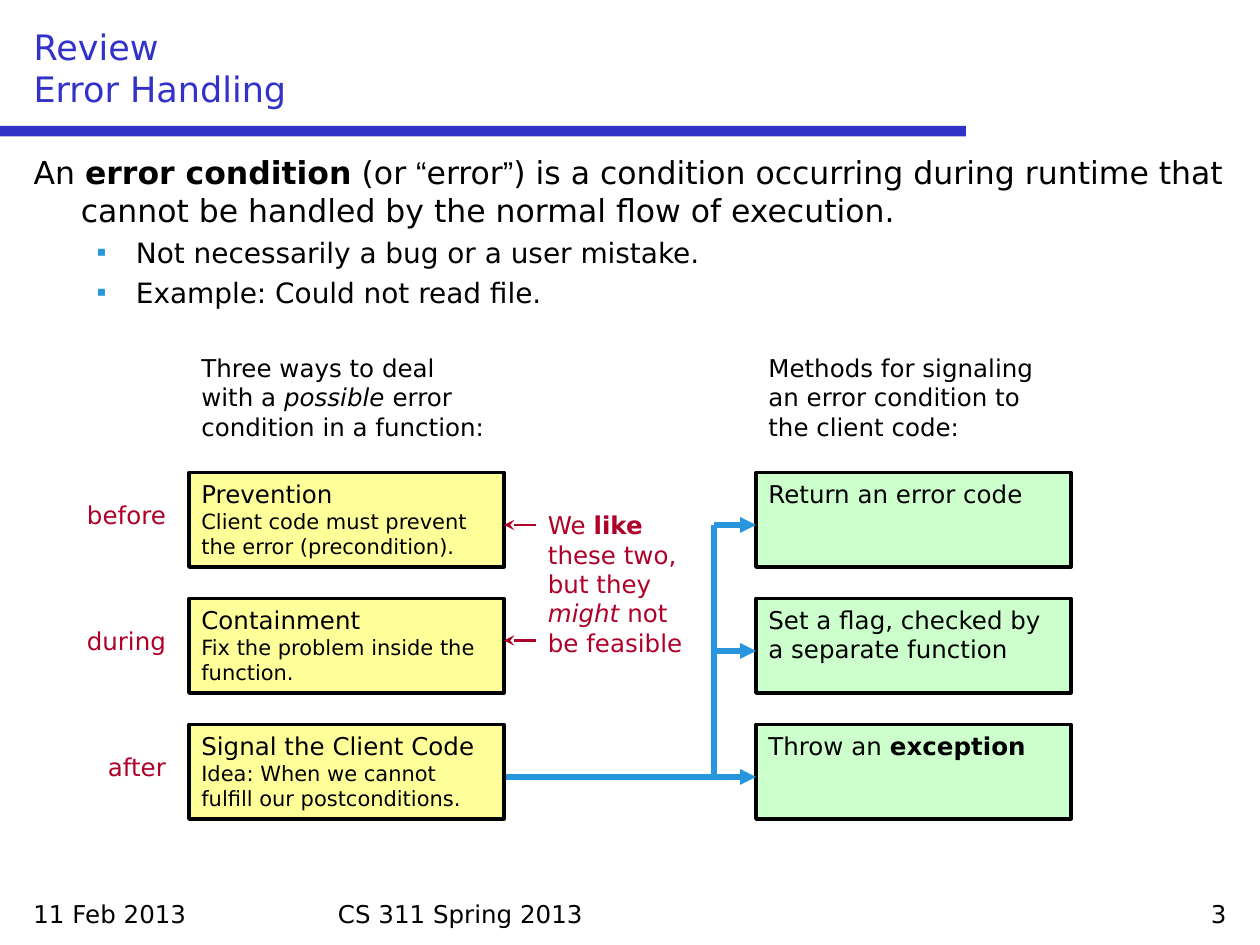
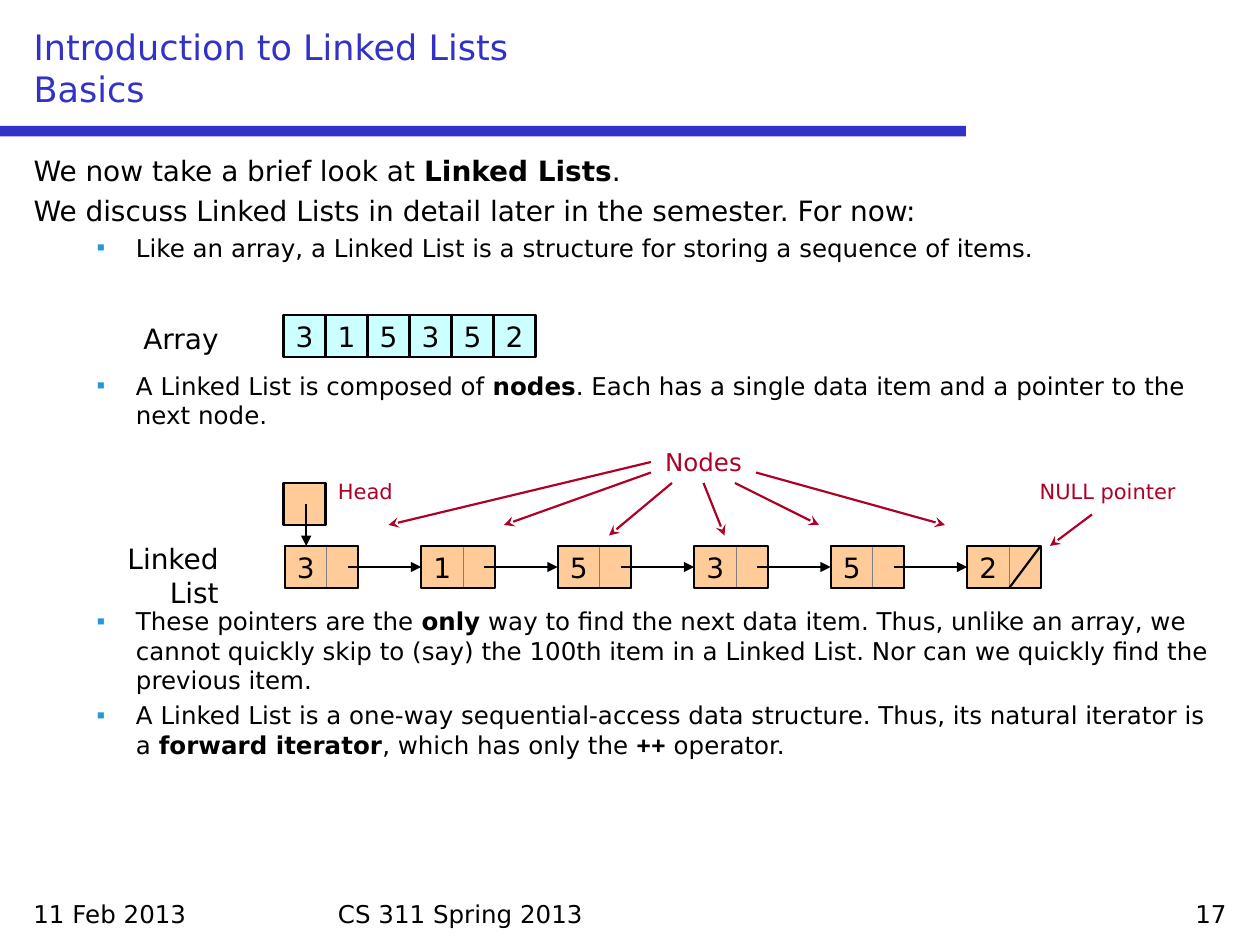
"""Build two lecture slides: error handling and linked lists."""
from dataclasses import dataclass
from typing import NamedTuple, Optional

from lxml import etree
from pptx import Presentation
from pptx.dml.color import RGBColor
from pptx.enum.shapes import MSO_CONNECTOR, MSO_SHAPE
from pptx.enum.text import MSO_ANCHOR, MSO_AUTO_SIZE, PP_ALIGN
from pptx.oxml.ns import qn
from pptx.util import Pt

STRAIGHT = MSO_CONNECTOR.STRAIGHT
RECTANGLE = MSO_SHAPE.RECTANGLE
LEFT, CENTER, RIGHT = PP_ALIGN.LEFT, PP_ALIGN.CENTER, PP_ALIGN.RIGHT
TOP, MIDDLE, BOTTOM = MSO_ANCHOR.TOP, MSO_ANCHOR.MIDDLE, MSO_ANCHOR.BOTTOM
NO_AUTOFIT = MSO_AUTO_SIZE.NONE

FONT = "DejaVu Sans"
BLACK, GRAY = "000000", "808080"
TITLE_BLUE, ACCENT_BLUE, RED = "3232C8", "2896DC", "AF0028"
YELLOW, GREEN, CYAN, ORANGE = "FFFF99", "CCFFCC", "CCFFFF", "FFCC99"


class Area(NamedTuple):
    left: float
    top: float
    width: float
    height: float


@dataclass
class Span:
    text: str
    bold: bool = False
    italic: bool = False
    font: str = FONT
    size: Optional[float] = None


@dataclass
class TextStyle:
    size: float = 14
    color: str = BLACK
    align: PP_ALIGN = LEFT
    anchor: MSO_ANCHOR = TOP
    wrap: bool = True


@dataclass
class BodyItem:
    spans: list[Span]
    size: float
    bulleted: bool = False
    space_before: Optional[float] = None


@dataclass
class Arrow:
    start: tuple[float, float]
    end: tuple[float, float]
    color: str = RED
    width: float = 1.25
    head: str = "stealth"


CELL_STYLE = TextStyle(16, align=CENTER, anchor=MIDDLE, wrap=False)


def rgb(color: str) -> RGBColor:
    return RGBColor.from_string(color)


def place(area: Area) -> list[Pt]:
    return [Pt(length) for length in area]


def write_spans(paragraph, spans: list[Span], size: float, color: str) -> None:
    for span in spans:
        for index, line in enumerate(span.text.split("\n")):
            if index:
                paragraph.add_line_break()
            if not line:
                continue
            run = paragraph.add_run()
            run.text = line
            run.font.name = span.font
            run.font.size = Pt(span.size or size)
            run.font.bold = span.bold
            run.font.italic = span.italic
            run.font.color.rgb = rgb(color)


def write_text(shape, spans: list[Span], style: TextStyle) -> None:
    frame = shape.text_frame
    frame.word_wrap = style.wrap
    frame.auto_size = NO_AUTOFIT
    frame.vertical_anchor = style.anchor
    paragraph = frame.paragraphs[0]
    paragraph.alignment = style.align
    write_spans(paragraph, spans, style.size, style.color)


def add_label(slide, area: Area, spans: list[Span], style: TextStyle) -> None:
    write_text(slide.shapes.add_textbox(*place(area)), spans, style)


def add_box(slide, area: Area, fill: Optional[str], line: Optional[str] = BLACK,
            line_width: float = 1.25, spans: Optional[list[Span]] = None,
            style: Optional[TextStyle] = None):
    shape = slide.shapes.add_shape(RECTANGLE, *place(area))
    shape.shadow.inherit = False
    if fill:
        shape.fill.solid()
        shape.fill.fore_color.rgb = rgb(fill)
    else:
        shape.fill.background()
    if line:
        shape.line.color.rgb = rgb(line)
        shape.line.width = Pt(line_width)
    else:
        shape.line.fill.background()
    if spans:
        write_text(shape, spans, style or TextStyle())
    return shape


def add_arrow(slide, arrow: Arrow):
    connector = slide.shapes.add_connector(STRAIGHT, *place((*arrow.start, *arrow.end)))
    connector.line.color.rgb = rgb(arrow.color)
    connector.line.width = Pt(arrow.width)
    properties = connector.element.spPr
    if arrow.head:
        line = properties.find(qn("a:ln"))
        etree.SubElement(line, qn("a:tailEnd"), type=arrow.head)
    etree.SubElement(properties, qn("a:effectLst"))
    return connector


def format_body_item(paragraph, item: BodyItem, first: bool) -> None:
    margin, indent = (58.5, -22.5) if item.bulleted else (27, -27)
    paragraph.level = int(item.bulleted)
    paragraph.alignment = LEFT
    default_space = 0 if first else round(item.size * 0.233, 1)
    paragraph.space_before = Pt(item.space_before or default_space)
    properties = paragraph._p.get_or_add_pPr()
    properties.set("marL", str(Pt(margin)))
    properties.set("indent", str(Pt(indent)))
    if item.bulleted:
        bullet_color = etree.SubElement(properties, qn("a:buClr"))
        etree.SubElement(bullet_color, qn("a:srgbClr"), val=ACCENT_BLUE)
        etree.SubElement(properties, qn("a:buChar"), char="▪")
    else:
        etree.SubElement(properties, qn("a:buNone"))
    write_spans(paragraph, item.spans, item.size, BLACK)


def add_lecture_slide(presentation, title: str, number: str, items: list[BodyItem]):
    slide = presentation.slides.add_slide(presentation.slide_layouts[1])
    add_box(slide, Area(0, 72, 552, 6), TITLE_BLUE, line=None)
    add_label(slide, Area(12, 510, 168, 24), [Span("11 Feb 2013")], TextStyle())
    add_label(slide, Area(186, 510, 348, 24), [Span("CS 311 Spring 2013")], TextStyle())
    add_label(slide, Area(540, 510, 168, 24), [Span(number)], TextStyle(align=RIGHT))

    heading, body = slide.shapes.title, slide.placeholders[1]
    for placeholder, area in ((heading, Area(12, 12, 696, 54)), (body, Area(12, 84, 696, 420))):
        placeholder.left, placeholder.top, placeholder.width, placeholder.height = place(area)
    write_text(heading, [Span(title)], TextStyle(20, TITLE_BLUE, anchor=BOTTOM))

    frame = body.text_frame
    frame.word_wrap = True
    frame.auto_size = NO_AUTOFIT
    for index, item in enumerate(items):
        paragraph = frame.add_paragraph() if index else frame.paragraphs[0]
        format_body_item(paragraph, item, first=index == 0)
    return slide


def build_error_handling(presentation) -> None:
    slide = add_lecture_slide(presentation, "Review\nError Handling", "3", [
        BodyItem([
            Span("An "), Span("error condition", bold=True), Span(" (or "),
            Span("“", font="Arial"), Span("error"), Span("”", font="Arial"),
            Span(") is a condition occurring during runtime that cannot be handled"
                 " by the normal flow of execution."),
        ], 18),
        BodyItem([Span("Not necessarily a bug or a user mistake.")], 16, bulleted=True),
        BodyItem([Span("Example: Could not read file.")], 16, bulleted=True),
    ])
    ways_left, signals_left, box_width, box_height = 108, 432, 180, 54
    row_tops = [270 + 72 * row for row in range(3)]
    arrow_levels = [top + 30 for top in row_tops]
    trunk = 408

    add_label(slide, Area(ways_left, 198, box_width, box_height), [
        Span("Three ways to deal with a "), Span("possible", italic=True),
        Span(" error condition in a function:")], TextStyle())
    add_label(slide, Area(signals_left, 198, box_width, box_height), [
        Span("Methods for signaling an error condition to the client code:")], TextStyle())

    signals = [
        [Span("Return an error code")],
        [Span("Set a flag, checked by a separate function")],
        [Span("Throw an "), Span("exception", bold=True)],
    ]
    for top, spans in zip(row_tops, signals):
        add_box(slide, Area(signals_left, top, box_width, box_height), GREEN,
                line_width=2, spans=spans)

    for start, level in zip((trunk, trunk, 276), arrow_levels):
        add_arrow(slide, Arrow((start, level), (signals_left, level), ACCENT_BLUE, 3, "triangle"))
    add_arrow(slide, Arrow((trunk, arrow_levels[2]), (trunk, arrow_levels[0]), ACCENT_BLUE, 3, ""))

    ways = [
        ("before", "Prevention", "Client code must prevent the error (precondition)."),
        ("during", "Containment", "Fix the problem inside the function."),
        ("after", "Signal the Client Code", "Idea: When we cannot fulfill our postconditions."),
    ]
    for top, (moment, name, detail) in zip(row_tops, ways):
        add_label(slide, Area(36, top + 12, 66, 24), [Span(moment)],
                  TextStyle(color=RED, align=RIGHT))
        add_box(slide, Area(ways_left, top, box_width, box_height), YELLOW, line_width=2,
                spans=[Span(name + "\n"), Span(detail, size=12)])

    add_label(slide, Area(306, 288, 96, 93), [
        Span("We "), Span("like", bold=True), Span(" these two, but they "),
        Span("might", italic=True), Span(" not be feasible")], TextStyle(color=RED))
    for level in (300, 366):
        add_arrow(slide, Arrow((306, level), (288, level)))


def add_linked_list(slide, values: str) -> None:
    first_left, pitch, top, cell, pointer = 162.7, 78, 312, 24, 18
    lefts = [first_left + pitch * index for index in range(len(values))]
    outlines = []
    for left, value in zip(lefts, values):
        add_box(slide, Area(left, top, cell, cell), ORANGE, GRAY, 0.75, [Span(value)], CELL_STYLE)
        add_box(slide, Area(left + cell, top, pointer, cell), ORANGE, GRAY, 0.75)
        outlines.append(add_box(slide, Area(left, top, cell + pointer, cell), None))
    middle = top + cell / 2
    for left, target in zip(lefts, outlines[1:]):
        link = add_arrow(slide, Arrow((left + 36, middle), (left + pitch, middle),
                                      BLACK, head="triangle"))
        link.end_connect(target, 1)
    null_left = lefts[-1] + cell
    add_arrow(slide, Arrow((null_left, top + cell), (null_left + pointer, top), BLACK, head=""))
    add_box(slide, Area(162, 276, cell, cell), ORANGE)
    add_arrow(slide, Arrow((175, 288), (175, top), BLACK, head="triangle"))


def build_linked_lists(presentation) -> None:
    slide = add_lecture_slide(presentation, "Introduction to Linked Lists\nBasics", "17", [
        BodyItem([Span("We now take a brief look at "), Span("Linked Lists", bold=True),
                  Span(".")], 16),
        BodyItem([Span("We discuss Linked Lists in detail later in the semester. For now:")], 16),
        BodyItem([Span("Like an array, a Linked List is a structure for storing"
                       " a sequence of items.")], 14, bulleted=True),
        BodyItem([Span("A Linked List is composed of "), Span("nodes", bold=True),
                  Span(". Each has a single data item and a pointer to the next node.")],
                 14, bulleted=True, space_before=62),
        BodyItem([Span("These pointers are the "), Span("only", bold=True),
                  Span(" way to find the next data item. Thus, unlike an array, we cannot"
                       " quickly skip to (say) the 100th item in a Linked List. Nor can we"
                       " quickly find the previous item.")],
                 14, bulleted=True, space_before=101),
        BodyItem([Span("A Linked List is a one-way sequential-access data structure. Thus,"
                       " its natural iterator is a "), Span("forward iterator", bold=True),
                  Span(", which has only the "), Span("++", bold=True, font="Courier New"),
                  Span(" operator.")], 14, bulleted=True),
    ])
    values = "315352"
    for index, value in enumerate(values):
        add_box(slide, Area(162 + 24 * index, 180, 24, 24), CYAN,
                spans=[Span(value)], style=CELL_STYLE)
    add_linked_list(slide, values)

    row_style = TextStyle(16, align=RIGHT)
    small_red = TextStyle(12, RED)
    small_red_centered = TextStyle(12, RED, CENTER)
    for area, text, style in (
        (Area(54, 180, 78, 27), "Array", row_style),
        (Area(54, 306, 78, 46), "Linked List", row_style),
        (Area(186, 270, 66, 22), "Head", small_red),
        (Area(564, 270, 138, 22), "NULL pointer", small_red_centered),
        (Area(366, 252, 72, 24), "Nodes", TextStyle(14, RED, CENTER)),
    ):
        add_label(slide, area, [Span(text)], style)

    for start, end in (
        ((624, 294), (600, 312)), ((372, 264), (222, 300)), ((372, 270), (288, 300)),
        ((384, 276), (348, 306)), ((402, 276), (414, 306)), ((420, 276), (468, 300)),
        ((432, 270), (540, 300)),
    ):
        add_arrow(slide, Arrow(start, end))


def main() -> None:
    presentation = Presentation()
    presentation.slide_width, presentation.slide_height = Pt(720), Pt(540)
    build_error_handling(presentation)
    build_linked_lists(presentation)
    presentation.save("out.pptx")


if __name__ == "__main__":
    main()
